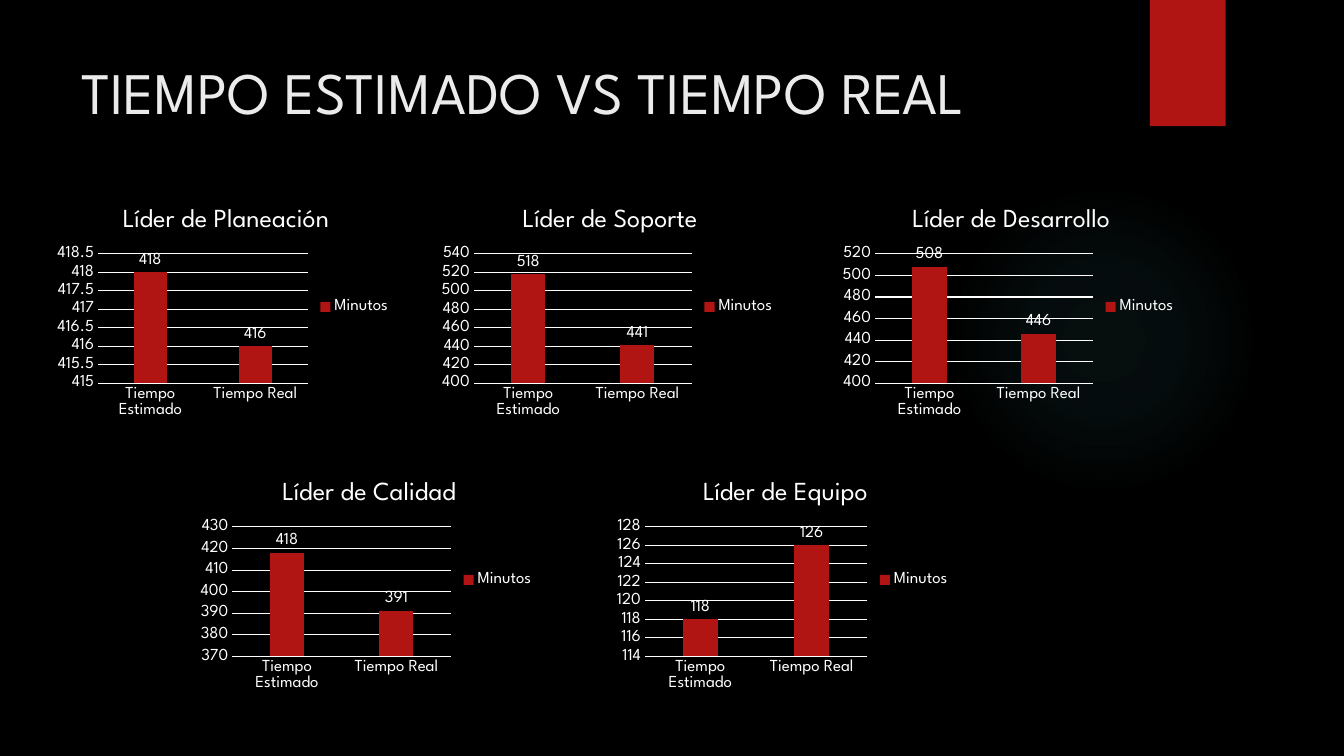
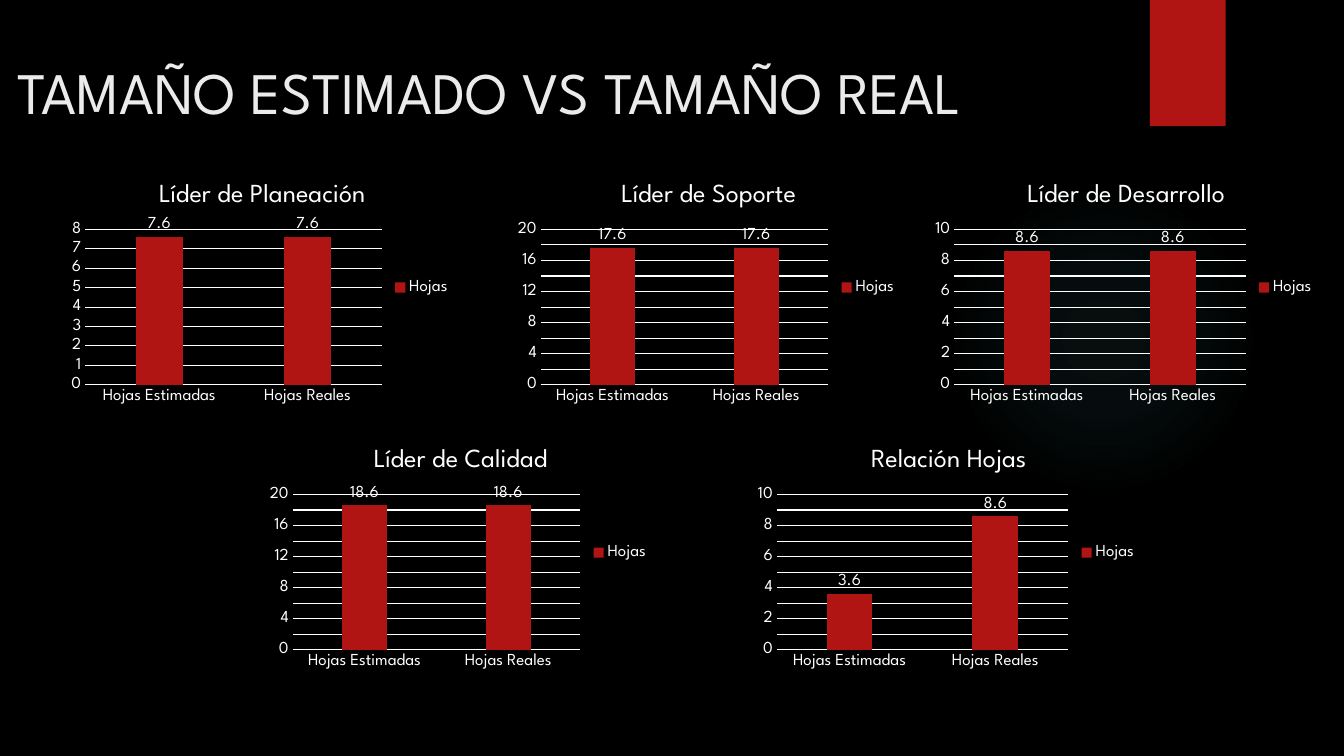
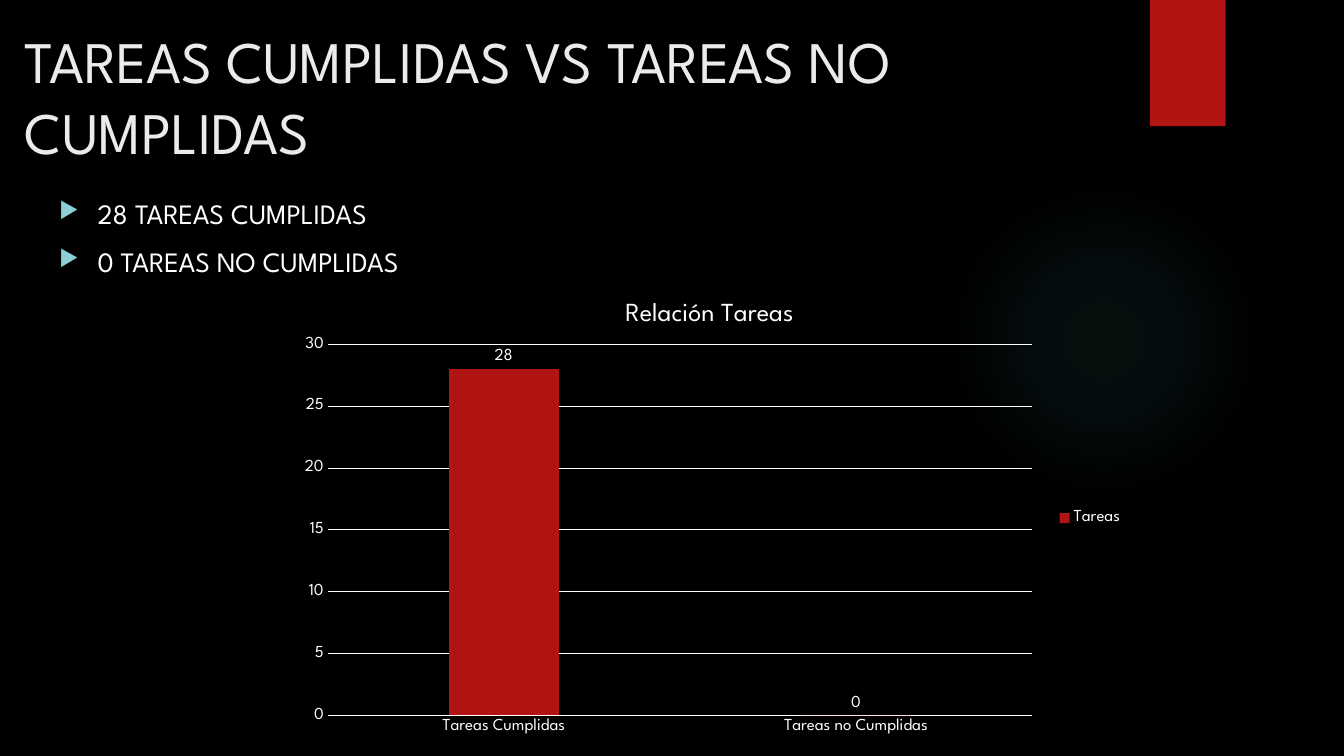
from pptx import Presentation
from pptx import util as u
from pptx.chart.data import CategoryChartData
from pptx.dml.color import RGBColor
from pptx.enum import chart as c, shapes, text
from pptx.oxml import parse_xml
from pptx.oxml.ns import nsdecls, qn

COLOURS = {
    "background": "000000",
    "accent": "B01513",
    "glow": "50B9C1",
    "title": "EBEBEB",
    "body": "FFFFFF",
    "bullet": "8AD0D6",
}
FONT = "League Spartan"
GLOW_STOPS = [(0, 7), (36, 6), (69, 0)]  # position and opacity, percent


def rgb(name):
    return RGBColor.from_string(COLOURS[name])


def style_font(font, size, colour="body"):
    font.name = FONT
    font.size = u.Pt(size)
    font.bold = False
    font.color.rgb = rgb(colour)


def add_plain_shape(slide, kind, box, colour):
    shape = slide.shapes.add_shape(kind, *map(u.Cm, box))
    shape.shadow.inherit = False
    shape.fill.solid()
    shape.fill.fore_color.rgb = rgb(colour)
    shape.line.fill.background()
    return shape


def add_glow(slide, box):
    """Faint round light that fades out towards its edge."""
    glow = add_plain_shape(slide, shapes.MSO_SHAPE.OVAL, box, "glow")
    stops = "".join(
        f'<a:gs pos="{position * 1000}"><a:srgbClr val="{COLOURS["glow"]}">'
        f'<a:alpha val="{opacity * 1000}"/></a:srgbClr></a:gs>'
        for position, opacity in GLOW_STOPS
    )
    gradient = parse_xml(
        f'<a:gradFill {nsdecls("a")} rotWithShape="1"><a:gsLst>{stops}</a:gsLst>'
        '<a:path path="circle"><a:fillToRect l="50000" t="50000" r="50000" b="50000"/>'
        "</a:path></a:gradFill>"
    )
    properties = glow.element.spPr
    properties.replace(properties.find(qn("a:solidFill")), gradient)


def add_text(slide, box, lines, size, colour):
    text_box = slide.shapes.add_textbox(*map(u.Cm, box))
    frame = text_box.text_frame
    frame.word_wrap = True
    frame.vertical_anchor = text.MSO_ANCHOR.TOP
    frame.text = "\n".join(lines)
    for paragraph in frame.paragraphs:
        for run in paragraph.runs:
            style_font(run.font, size, colour)
    return frame


def add_bullets(slide, box, lines):
    frame = add_text(slide, box, lines, 20, "body")
    indent = u.Cm(0.97)
    for paragraph in frame.paragraphs:
        paragraph.space_before = u.Pt(10)
        properties = paragraph._p.get_or_add_pPr()
        properties.set("marL", str(indent))
        properties.set("indent", str(-indent))
        for xml in (
            f'<a:buClr {nsdecls("a")}><a:srgbClr val="{COLOURS["bullet"]}"/></a:buClr>',
            f'<a:buSzPct {nsdecls("a")} val="80000"/>',
            f'<a:buChar {nsdecls("a")} char="▶"/>',
        ):
            properties.append(parse_xml(xml))


def start_slide(presentation, title, title_box):
    """Slide with the shared glow, red band and title."""
    slide = presentation.slides.add_slide(presentation.slide_layouts[6])
    add_glow(slide, (23.9, 4.65, 7.82, 7.82))
    add_plain_shape(slide, shapes.MSO_SHAPE.RECTANGLE, (28.98, 0, 1.91, 3.18), "accent")
    add_text(slide, title_box, [title], 42, "title")
    return slide


def style_axes(chart):
    for axis in (chart.category_axis, chart.value_axis):
        axis.major_tick_mark = axis.minor_tick_mark = c.XL_TICK_MARK.NONE
        style_font(axis.tick_labels.font, 12)
    chart.category_axis.has_major_gridlines = False
    chart.value_axis.has_major_gridlines = True
    chart.value_axis.format.line.fill.background()
    for line in (
        chart.category_axis.format.line,
        chart.value_axis.major_gridlines.format.line,
    ):
        line.color.rgb = rgb("body")
        line.width = u.Pt(0.75)


def set_plot_area(chart, fractions):
    plot_area = chart.element.find(".//" + qn("c:plotArea"))
    for layout in plot_area.findall(qn("c:layout")):
        plot_area.remove(layout)
    values = "".join(
        f'<c:{name} val="{value}"/>' for name, value in zip("xywh", fractions)
    )
    plot_area.insert(0, parse_xml(
        f'<c:layout {nsdecls("c")}><c:manualLayout><c:layoutTarget val="inner"/>'
        f'<c:xMode val="edge"/><c:yMode val="edge"/>{values}'
        "</c:manualLayout></c:layout>"
    ))


def add_column_chart(slide, box, title, categories, series_name, values):
    data = CategoryChartData()
    data.categories = categories
    data.add_series(series_name, values)
    chart = slide.shapes.add_chart(
        c.XL_CHART_TYPE.COLUMN_CLUSTERED, *map(u.Cm, box), data
    ).chart
    style_font(chart.font, 10)

    # Title and legend
    chart.has_title = True
    title_frame = chart.chart_title.text_frame
    title_frame.text = title
    style_font(title_frame.paragraphs[0].runs[0].font, 18.6)
    chart.has_legend = True
    chart.legend.position = c.XL_LEGEND_POSITION.RIGHT
    chart.legend.include_in_layout = False
    style_font(chart.legend.font, 12)

    style_axes(chart)

    # Columns and their values
    plot = chart.plots[0]
    plot.gap_width = 219
    plot.overlap = -27
    plot.vary_by_categories = False
    series = plot.series[0]
    series.invert_if_negative = False
    series.format.fill.solid()
    series.format.fill.fore_color.rgb = rgb("accent")
    labels = series.data_labels
    labels.show_value = True
    labels.position = c.XL_LABEL_POSITION.OUTSIDE_END
    style_font(labels.font, 12)
    return chart


def add_chart_rows(slide, size, rows, categories, series_name):
    """Rows of equal charts: each row is a top and (left, title, values)."""
    for top, charts in rows:
        for left, title, values in charts:
            add_column_chart(
                slide, (left, top, *size), title, categories, series_name, values
            )


def build_time_slide(presentation):
    slide = start_slide(
        presentation, "TIEMPO ESTIMADO VS TIEMPO REAL", (1.8, 1.27, 26.14, 3.89)
    )
    rows = [
        (4.8, [
            (1.27, "Líder de Planeación", (418, 416)),
            (10.95, "Líder de Soporte", (518, 441)),
            (21.06, "Líder de Desarrollo", (508, 446)),
        ]),
        (11.68, [
            (4.88, "Líder de Calidad", (418, 391)),
            (15.37, "Líder de Equipo", (118, 126)),
        ]),
    ]
    add_chart_rows(
        slide, (8.86, 5.87), rows, ["Tiempo Estimado", "Tiempo Real"], "Minutos"
    )


def build_size_slide(presentation):
    slide = start_slide(
        presentation, "TAMAÑO ESTIMADO VS TAMAÑO REAL", (0.18, 1.27, 28.19, 3.89)
    )
    rows = [
        (4.17, [
            (1.6, "Líder de Planeación", (7.6, 7.6)),
            (12.85, "Líder de Soporte", (17.6, 17.6)),
            (23.37, "Líder de Desarrollo", (8.6, 8.6)),
        ]),
        (10.85, [
            (6.6, "Líder de Calidad", (18.6, 18.6)),
            (18.9, "Relación Hojas", (3.6, 8.6)),
        ]),
    ]
    add_chart_rows(
        slide, (10.03, 6.15), rows, ["Hojas Estimadas", "Hojas Reales"], "Hojas"
    )


def build_tasks_slide(presentation):
    slide = start_slide(
        presentation,
        "TAREAS CUMPLIDAS VS TAREAS NO CUMPLIDAS",
        (0.38, 0.51, 28.19, 3.89),
    )
    chart = add_column_chart(
        slide, (7.19, 7.06, 21.39, 11.99), "Relación Tareas",
        ["Tareas Cumplidas", "Tareas no Cumplidas"], "Tareas", (28, 0),
    )
    set_plot_area(chart, (0.05, 0.135, 0.83, 0.78))
    add_bullets(
        slide, (1.24, 4.83, 10.67, 3.4),
        ["28 TAREAS CUMPLIDAS", "0 TAREAS NO CUMPLIDAS"],
    )


def main():
    presentation = Presentation()
    presentation.slide_width = u.Cm(33.87)
    presentation.slide_height = u.Cm(19.05)
    background = presentation.slide_master.background.fill
    background.solid()
    background.fore_color.rgb = rgb("background")
    build_time_slide(presentation)
    build_size_slide(presentation)
    build_tasks_slide(presentation)
    presentation.save("out.pptx")


if __name__ == "__main__":
    main()
